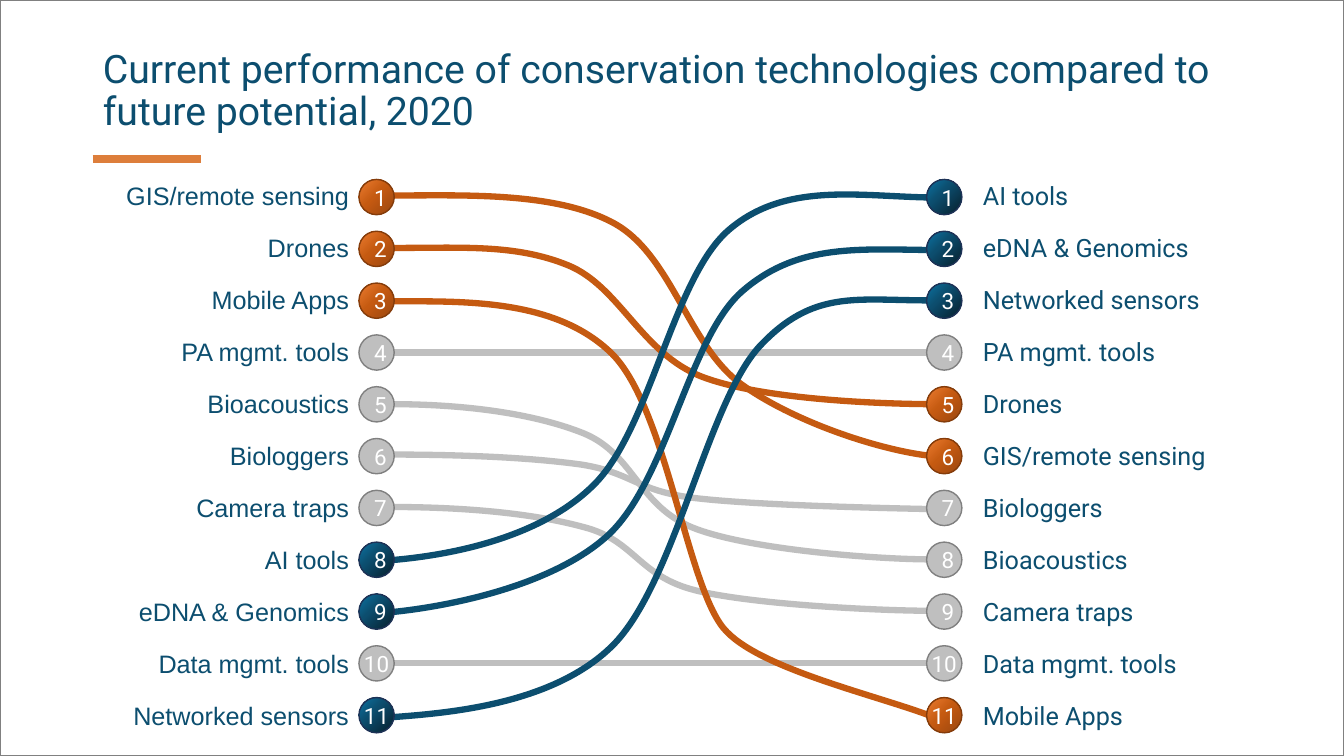
from dataclasses import dataclass

from lxml import etree
from pptx import Presentation
from pptx.dml.color import RGBColor
from pptx.enum.shapes import MSO_CONNECTOR, MSO_SHAPE
from pptx.enum.text import MSO_ANCHOR, MSO_AUTO_SIZE, PP_ALIGN
from pptx.oxml import parse_xml
from pptx.oxml.ns import nsdecls, qn
from pptx.util import Inches, Pt

LEFT, CENTER, RIGHT = PP_ALIGN.LEFT, PP_ALIGN.CENTER, PP_ALIGN.RIGHT
MIDDLE = MSO_ANCHOR.MIDDLE
NO_FIT, FIT_SHAPE = MSO_AUTO_SIZE.NONE, MSO_AUTO_SIZE.SHAPE_TO_FIT_TEXT
OVAL, RECTANGLE = MSO_SHAPE.OVAL, MSO_SHAPE.RECTANGLE
STRAIGHT = MSO_CONNECTOR.STRAIGHT

NAVY = RGBColor(0x0C, 0x4E, 0x6F)
NAVY_LIGHT = RGBColor(0x0C, 0x74, 0xA3)
NAVY_DARK = RGBColor(0x07, 0x1F, 0x2C)
NAVY_EDGE = RGBColor(0x1E, 0x32, 0x56)
RUST = RGBColor(0xC5, 0x5A, 0x11)
RUST_LIGHT = RGBColor(0xED, 0x7D, 0x31)
RUST_DARK = RGBColor(0x99, 0x46, 0x0F)
RUST_EDGE = RGBColor(0x84, 0x3C, 0x0B)
SILVER = RGBColor(0xBF, 0xBF, 0xBF)
GRAY = RGBColor(0x80, 0x80, 0x80)
ACCENT = RGBColor(0xDD, 0x7E, 0x3B)
WHITE = RGBColor(0xFF, 0xFF, 0xFF)

SLIDE_W, SLIDE_H = 13.33, 7.5
BADGE = 0.35
BADGE_TOP, BADGE_PITCH = 1.78, (6.92 - 1.78) / 10
LABEL_TOP, LABEL_PITCH = 1.74, (6.9 - 1.74) / 10
LABEL_W, LABEL_H = 3.06, 0.4
FLOW_WIDTH = 4.5


@dataclass(frozen=True)
class Trend:
    color: RGBColor
    edge: RGBColor
    stops: tuple[tuple[int, RGBColor], ...] = ()


@dataclass(frozen=True)
class Ranking:
    badge_x: float
    label_x: float
    align: PP_ALIGN
    font: str
    names: tuple[str, ...]


@dataclass(frozen=True)
class Flow:
    """A start point followed by three points for each Bézier segment."""
    trend: Trend
    points: tuple[tuple[float, float], ...]


FALLING = Trend(RUST, RUST_EDGE, ((0, RUST_LIGHT), (46, RUST), (100, RUST_DARK)))
RISING = Trend(NAVY, NAVY_EDGE, ((0, NAVY_LIGHT), (40, NAVY), (100, NAVY_DARK)))
STEADY = Trend(SILVER, GRAY)
TRENDS = {
    "GIS/remote sensing": FALLING, "Drones": FALLING, "Mobile Apps": FALLING,
    "AI tools": RISING, "eDNA & Genomics": RISING, "Networked sensors": RISING,
}

CURRENT = Ranking(3.56, 0.5, RIGHT, "Arial", (
    "GIS/remote sensing", "Drones", "Mobile Apps", "PA mgmt. tools",
    "Bioacoustics", "Biologgers", "Camera traps", "AI tools",
    "eDNA & Genomics", "Data mgmt. tools", "Networked sensors"))
FUTURE = Ranking(9.19, 9.65, LEFT, "Roboto", (
    "AI tools", "eDNA & Genomics", "Networked sensors", "PA mgmt. tools",
    "Drones", "GIS/remote sensing", "Biologgers", "Bioacoustics",
    "Camera traps", "Data mgmt. tools", "Mobile Apps"))

FLOWS = (
    Flow(STEADY, ((3.88, 4.01), (4.6, 4.01), (5.29, 4.1), (5.79, 4.3), (6.3, 4.51),
                  (6.33, 5.04), (6.91, 5.25), (7.48, 5.46), (8.73, 5.55), (9.24, 5.55))),
    Flow(STEADY, ((3.88, 4.51), (4.59, 4.51), (5.27, 4.54), (5.77, 4.61), (6.27, 4.69),
                  (6.31, 4.87), (6.88, 4.94), (7.45, 5.01), (8.69, 5.04), (9.19, 5.05))),
    Flow(STEADY, ((3.87, 5.03), (4.59, 5.03), (5.28, 5.09), (5.79, 5.23), (6.3, 5.36),
                  (6.33, 5.72), (6.91, 5.86), (7.48, 6), (8.74, 6.06), (9.24, 6.06))),
    Flow(FALLING, ((3.88, 1.94), (4.6, 1.94), (5.5, 1.9), (6.08, 2.21), (6.66, 2.52),
                   (6.82, 3.42), (7.35, 3.81), (7.89, 4.2), (8.79, 4.49), (9.3, 4.53))),
    Flow(FALLING, ((3.88, 2.46), (4.6, 2.46), (5.11, 2.42), (5.63, 2.63), (6.15, 2.84),
                   (6.36, 3.51), (6.97, 3.74), (7.58, 3.97), (8.79, 4.01), (9.3, 4.01))),
    Flow(FALLING, ((3.88, 2.99), (4.6, 2.99), (5.51, 2.96), (6.07, 3.51), (6.62, 4.06),
                   (6.82, 5.89), (7.21, 6.27), (7.59, 6.66), (8.79, 6.92), (9.3, 7.13))),
    Flow(RISING, ((9.24, 1.96), (8.52, 1.95), (7.79, 1.8), (7.23, 2.28), (6.67, 2.76),
                  (6.45, 4.27), (5.88, 4.82), (5.32, 5.37), (4.37, 5.52), (3.85, 5.56))),
    Flow(RISING, ((9.19, 2.48), (8.46, 2.47), (7.88, 2.43), (7.35, 2.9), (6.82, 3.38),
                  (6.61, 4.79), (6.02, 5.32), (5.43, 5.85), (4.31, 6.04), (3.8, 6.08))),
    Flow(RISING, ((9.21, 2.98), (8.49, 2.98), (8.06, 2.87), (7.53, 3.44), (7.01, 4.01),
                  (6.69, 5.8), (6.07, 6.41), (5.45, 7.02), (4.34, 7.08), (3.82, 7.12))),
)


def inches(*values: float) -> list[int]:
    return [Inches(v) for v in values]


def write(tf, text: str, font: str, size: float, color: RGBColor, align: PP_ALIGN):
    p = tf.paragraphs[0]
    p.alignment = align
    r = p.add_run()
    r.text = text
    r.font.name, r.font.size = font, Pt(size)
    r.font.color.rgb = color
    return p


def set_line(s, color: RGBColor, width: float) -> None:
    s.line.color.rgb = color
    s.line.width = Pt(width)


def add_title(s) -> None:
    title = s.shapes.title
    title.left, title.top, title.width, title.height = inches(0.92, 0.4, 11.57, 1.02)
    tf = title.text_frame
    tf.word_wrap, tf.auto_size, tf.vertical_anchor = True, NO_FIT, MIDDLE
    p = write(tf, "Current performance of conservation technologies compared to "
              "future potential, 2020", "Roboto", 28, NAVY, LEFT)
    p.line_spacing = 0.9


def add_level_line(s, x1: float, x2: float, y: float, color: RGBColor, width: float) -> None:
    line = s.shapes.add_connector(STRAIGHT, *inches(x1, y, x2, y))
    set_line(line, color, width)
    etree.SubElement(line._element.spPr, qn("a:effectLst"))


def add_flow(s, flow: Flow) -> None:
    """Outline the control points, then turn each three segments into one curve."""
    start, *rest = [inches(*point) for point in flow.points]
    builder = s.shapes.build_freeform(*start, scale=1.0)
    builder.add_line_segments(rest, close=False)
    curve = builder.convert_to_shape()
    curve.shadow.inherit = False
    curve.fill.background()
    set_line(curve, flow.trend.color, FLOW_WIDTH)
    outline = next(curve._element.iter(qn("a:path")))
    segments = outline.findall(qn("a:lnTo"))
    for i in range(0, len(segments), 3):
        bezier = etree.SubElement(outline, qn("a:cubicBezTo"))
        for segment in segments[i:i + 3]:
            bezier.append(segment[0])
            outline.remove(segment)


def fill_badge(badge, trend: Trend) -> None:
    badge.fill.solid()
    badge.fill.fore_color.rgb = trend.color
    if trend.stops:
        stops = "".join(f'<a:gs pos="{pos * 1000}"><a:srgbClr val="{color}"/></a:gs>'
                        for pos, color in trend.stops)
        gradient = parse_xml(
            f'<a:gradFill {nsdecls("a")} rotWithShape="1"><a:gsLst>{stops}</a:gsLst>'
            '<a:path path="circle"><a:fillToRect r="100000" b="100000"/></a:path></a:gradFill>')
        spPr = badge._element.spPr
        spPr.replace(spPr.find(qn("a:solidFill")), gradient)


def add_ranking(s, ranking: Ranking) -> None:
    for i, name in enumerate(ranking.names):
        trend = TRENDS.get(name, STEADY)
        badge = s.shapes.add_shape(OVAL, *inches(
            ranking.badge_x, BADGE_TOP + i * BADGE_PITCH, BADGE, BADGE))
        badge.shadow.inherit = False
        fill_badge(badge, trend)
        set_line(badge, trend.edge, 1)
        tf = badge.text_frame
        tf.word_wrap, tf.vertical_anchor = i < 9, MIDDLE
        write(tf, str(i + 1), "Roboto", 16, WHITE, CENTER)

        label = s.shapes.add_textbox(*inches(
            ranking.label_x, LABEL_TOP + i * LABEL_PITCH, LABEL_W, LABEL_H))
        tf = label.text_frame
        tf.word_wrap, tf.auto_size = True, FIT_SHAPE
        write(tf, name, ranking.font, 18, NAVY, ranking.align)


def add_frame(s) -> None:
    frame = s.shapes.add_shape(RECTANGLE, *inches(0, 0, SLIDE_W, SLIDE_H))
    frame.shadow.inherit = False
    frame.fill.background()
    set_line(frame, GRAY, 1.5)


def main() -> None:
    prs = Presentation()
    prs.slide_width, prs.slide_height = inches(SLIDE_W, SLIDE_H)
    s = prs.slides.add_slide(prs.slide_layouts[5])
    add_level_line(s, 0.92, 1.99, 1.58, ACCENT, 6)
    add_title(s)
    for name in ("PA mgmt. tools", "Data mgmt. tools"):
        y = BADGE_TOP + CURRENT.names.index(name) * BADGE_PITCH + BADGE / 2
        add_level_line(s, CURRENT.badge_x + BADGE, FUTURE.badge_x, y, SILVER, FLOW_WIDTH)
    for flow in FLOWS:
        add_flow(s, flow)
    for ranking in (CURRENT, FUTURE):
        add_ranking(s, ranking)
    add_frame(s)
    prs.save("out.pptx")


if __name__ == "__main__":
    main()
